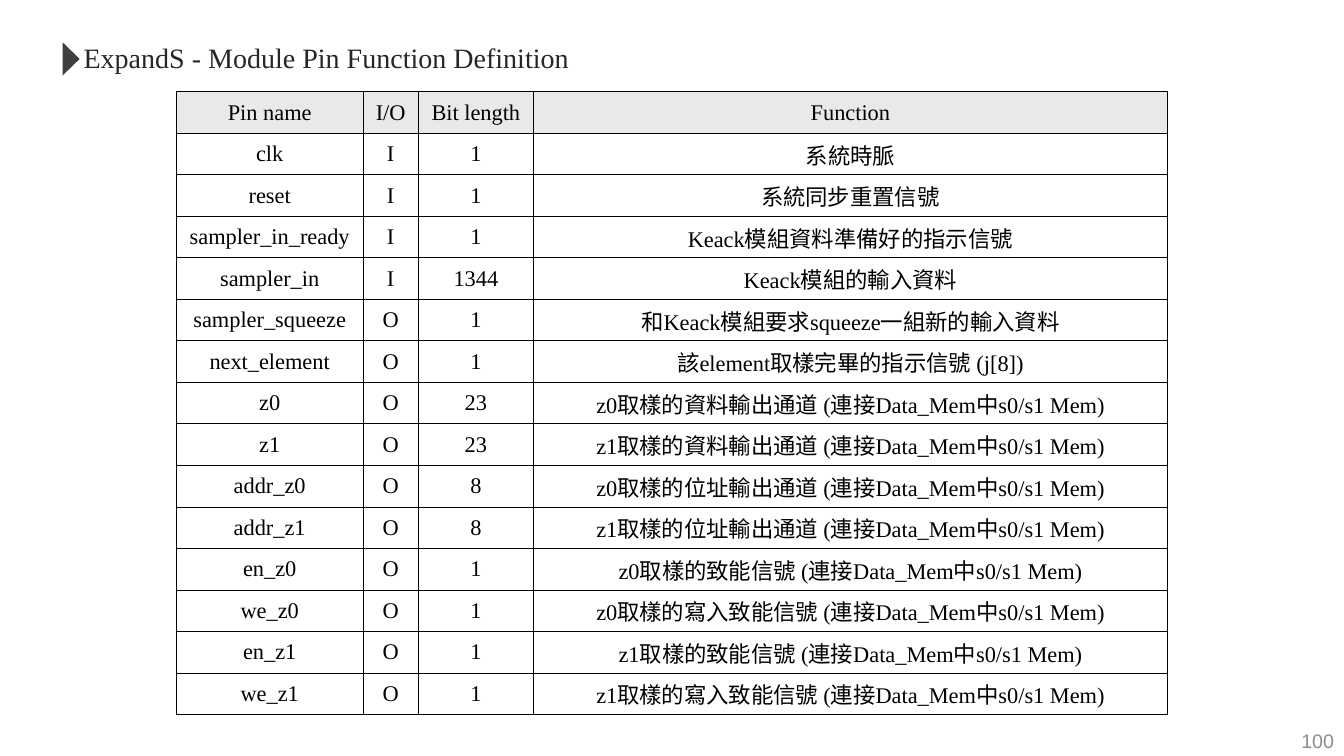
from collections import namedtuple
from dataclasses import dataclass

from lxml import etree
from pptx import Presentation
from pptx import util as u
from pptx.dml.color import RGBColor
from pptx.enum import shapes, text
from pptx.oxml import ns

PX = 9144
Box = namedtuple("Box", "left top width height")


@dataclass(frozen=True)
class Theme:
    serif: str = "Times New Roman"
    sans: str = "Arial"
    title: str = "262626"
    marker: str = "3F3F3F"
    number: str = "8C8C8C"
    ink: str = "000000"
    header: str = "E9E9E9"
    body: str = "FFFFFF"
    title_size: int = 20
    cell_size: int = 16
    number_size: int = 14
    border: float = 0.5


THEME = Theme()
HEADINGS = ("Pin name", "I/O", "Bit length", "Function")
CONTROL_PINS = [
    ("clk", "I", "1", "系統時脈"),
    ("reset", "I", "1", "系統同步重置信號"),
    ("sampler_in_ready", "I", "1", "Keack模組資料準備好的指示信號"),
    ("sampler_in", "I", "1344", "Keack模組的輸入資料"),
    ("sampler_squeeze", "O", "1", "和Keack模組要求squeeze一組新的輸入資料"),
    ("next_element", "O", "1", "該element取樣完畢的指示信號 (j[8])"),
]
MEMORY_PINS = [
    ("z0", "23", "z0取樣的資料輸出通道"),
    ("z1", "23", "z1取樣的資料輸出通道"),
    ("addr_z0", "8", "z0取樣的位址輸出通道"),
    ("addr_z1", "8", "z1取樣的位址輸出通道"),
    ("en_z0", "1", "z0取樣的致能信號"),
    ("we_z0", "1", "z0取樣的寫入致能信號"),
    ("en_z1", "1", "z1取樣的致能信號"),
    ("we_z1", "1", "z1取樣的寫入致能信號"),
]
PIN_ROWS = [HEADINGS, *CONTROL_PINS] + [
    (name, "O", bits, f"{function} (連接Data_Mem中s0/s1 Mem)")
    for name, bits, function in MEMORY_PINS
]


def emu(box):
    return [length * PX for length in box]


def add_span(frame, words, font, size, color, align):
    para = frame.paragraphs[0]
    para.alignment = align
    span = para.add_run()
    span.text = words
    span.font.name = font
    span.font.size = u.Pt(size)
    span.font.color.rgb = RGBColor.from_string(color)


def add_title(page, box, words):
    marker_width, marker_height = 33, 17
    marker_box = Box(
        box.left,
        box.top + (box.height - marker_height) // 2 + 2,
        marker_width,
        marker_height,
    )
    marker = page.shapes.add_shape(
        shapes.MSO_SHAPE.ISOSCELES_TRIANGLE, *emu(marker_box)
    )
    marker.rotation = 90
    marker.shadow.inherit = False
    marker.fill.solid()
    marker.fill.fore_color.rgb = RGBColor.from_string(THEME.marker)
    marker.line.fill.background()

    title_box = box._replace(left=box.left + 19, width=box.width - 19)
    frame = page.shapes.add_textbox(*emu(title_box)).text_frame
    frame.word_wrap = False
    frame.auto_size = text.MSO_AUTO_SIZE.SHAPE_TO_FIT_TEXT
    add_span(frame, words, THEME.serif, THEME.title_size, THEME.title, text.PP_ALIGN.LEFT)


def add_page_number(page, box, words):
    frame = page.shapes.add_textbox(*emu(box)).text_frame
    frame.word_wrap = True
    frame.vertical_anchor = text.MSO_ANCHOR.MIDDLE
    add_span(frame, words, THEME.sans, THEME.number_size, THEME.number, text.PP_ALIGN.RIGHT)


def add_borders(cell):
    properties = cell._tc.get_or_add_tcPr()
    for position, side in enumerate(("lnL", "lnR", "lnT", "lnB")):
        line = etree.Element(ns.qn(f"a:{side}"), w=str(u.Pt(THEME.border)))
        fill = etree.SubElement(line, ns.qn("a:solidFill"))
        etree.SubElement(fill, ns.qn("a:srgbClr"), val=THEME.ink)
        properties.insert(position, line)


def add_pin_table(page, box, rows):
    widths = [185, 55, 114]
    widths.append(box.width - sum(widths))
    table = page.shapes.add_table(len(rows), len(widths), *emu(box)).table
    for column, width in zip(table.columns, widths):
        column.width = width * PX
    for row in table.rows:
        row.height = box.height * PX // len(rows)
    for row_index, values in enumerate(rows):
        color = THEME.body if row_index else THEME.header
        for column_index, words in enumerate(values):
            cell = table.cell(row_index, column_index)
            cell.vertical_anchor = text.MSO_ANCHOR.MIDDLE
            cell.fill.solid()
            cell.fill.fore_color.rgb = RGBColor.from_string(color)
            add_span(
                cell.text_frame, words, THEME.serif, THEME.cell_size,
                THEME.ink, text.PP_ALIGN.CENTER,
            )
            add_borders(cell)


def main():
    deck = Presentation()
    deck.slide_width, deck.slide_height = 1333 * PX, 750 * PX
    page = deck.slides.add_slide(deck.slide_layouts[6])
    add_title(page, Box(54, 35, 531, 44), "ExpandS - Module Pin Function Definition")
    add_page_number(page, Box(1033, 715, 300, 40), "100")
    add_pin_table(page, Box(175, 91, 983, 618), PIN_ROWS)
    deck.save("out.pptx")


if __name__ == "__main__":
    main()
